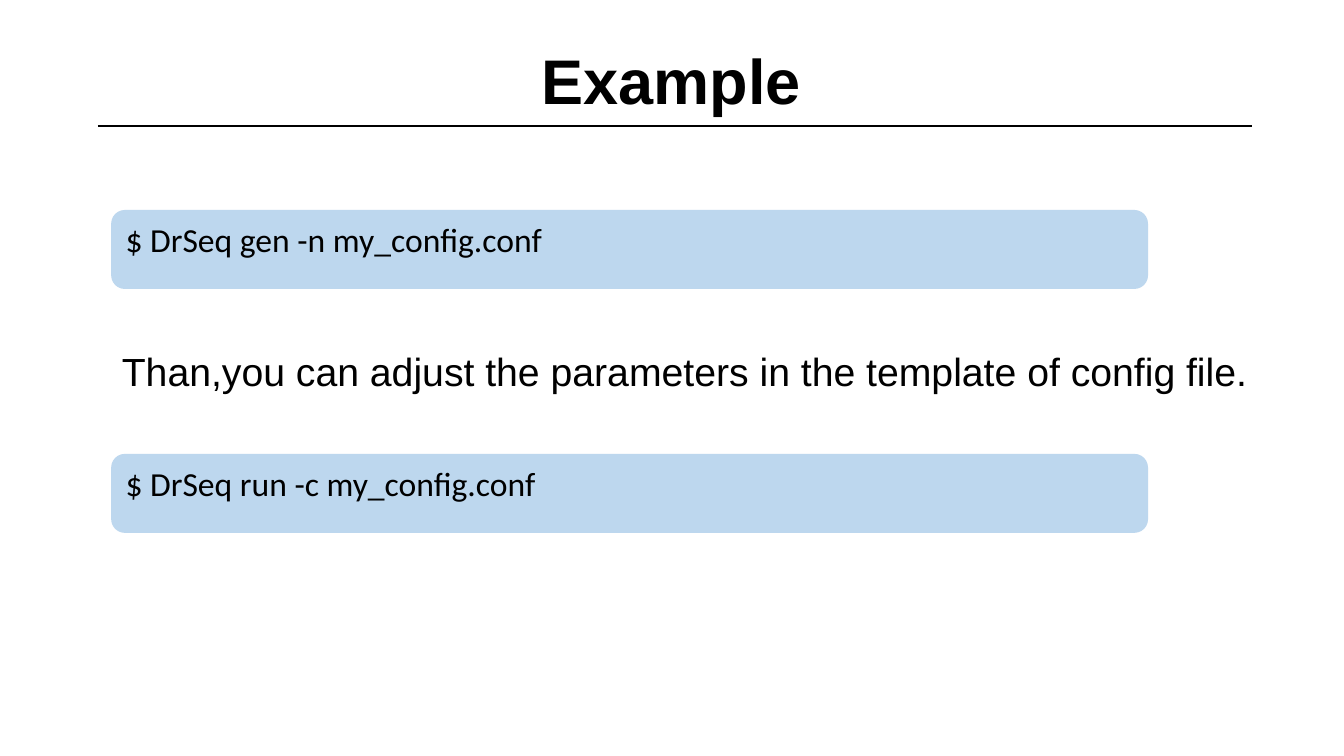
from pptx import Presentation
from pptx.dml.color import RGBColor
from pptx.enum.shapes import MSO_CONNECTOR, MSO_SHAPE
from pptx.enum.text import MSO_ANCHOR, PP_ALIGN
from pptx.oxml.ns import qn
from pptx.util import Inches, Pt
from lxml.etree import SubElement

HEADING = "Example"
STEPS = [
    ("command", "$ DrSeq gen -n my_config.conf"),
    ("remark", "Than,you can adjust the parameters in the template of config file."),
    ("command", "$ DrSeq run -c my_config.conf"),
]

BLACK = RGBColor(0x00, 0x00, 0x00)
PALE_BLUE = RGBColor(0xBD, 0xD7, 0xEE)

WIDTH, HEIGHT = 13.33, 7.5
LEFT = 1.11
FIRST_MIDDLE, STEP_PITCH = 2.475, 1.21
SIZES = {"command": (10.27, 0.77), "remark": (11.38, 0.57)}
FONTS = {"command": ("Calibri", 24), "remark": ("Arial", 28)}


def write(box, text, font_name, size, anchor, align=PP_ALIGN.LEFT, bold=False):
    frame = box.text_frame
    frame.word_wrap = True
    frame.vertical_anchor = anchor
    frame.text = text
    paragraph = frame.paragraphs[0]
    paragraph.alignment = align
    font = paragraph.runs[0].font
    font.name, font.size, font.bold = font_name, Pt(size), bold
    font.color.rgb = BLACK


def add_step(slide, kind, text, middle):
    width, height = SIZES[kind]
    place = [Inches(n) for n in (LEFT, middle - height / 2, width, height)]
    if kind == "command":
        step = slide.shapes.add_shape(MSO_SHAPE.ROUNDED_RECTANGLE, *place)
        step.shadow.inherit = False
        step.fill.solid()
        step.fill.fore_color.rgb = PALE_BLUE
        step.line.color.rgb = PALE_BLUE
        step.line.width = Pt(1)
    else:
        step = slide.shapes.add_textbox(*place)
    write(step, text, *FONTS[kind], MSO_ANCHOR.TOP)


def main():
    deck = Presentation()
    deck.slide_width, deck.slide_height = Inches(WIDTH), Inches(HEIGHT)
    slide = deck.slides.add_slide(deck.slide_layouts[6])

    rule = slide.shapes.add_connector(
        MSO_CONNECTOR.STRAIGHT, Inches(0.97), Inches(1.25), Inches(12.42), Inches(1.25))
    rule.line.color.rgb = BLACK
    rule.line.width = Pt(2)
    SubElement(rule._element.spPr, qn("a:effectLst"))

    heading = slide.shapes.add_textbox(
        Inches(0.94), Inches(0.33), Inches(11.44), Inches(0.92))
    write(heading, HEADING, "Arial", 45, MSO_ANCHOR.MIDDLE, PP_ALIGN.CENTER, True)

    for row, (kind, text) in enumerate(STEPS):
        add_step(slide, kind, text, FIRST_MIDDLE + row * STEP_PITCH)

    deck.save("out.pptx")


if __name__ == "__main__":
    main()
